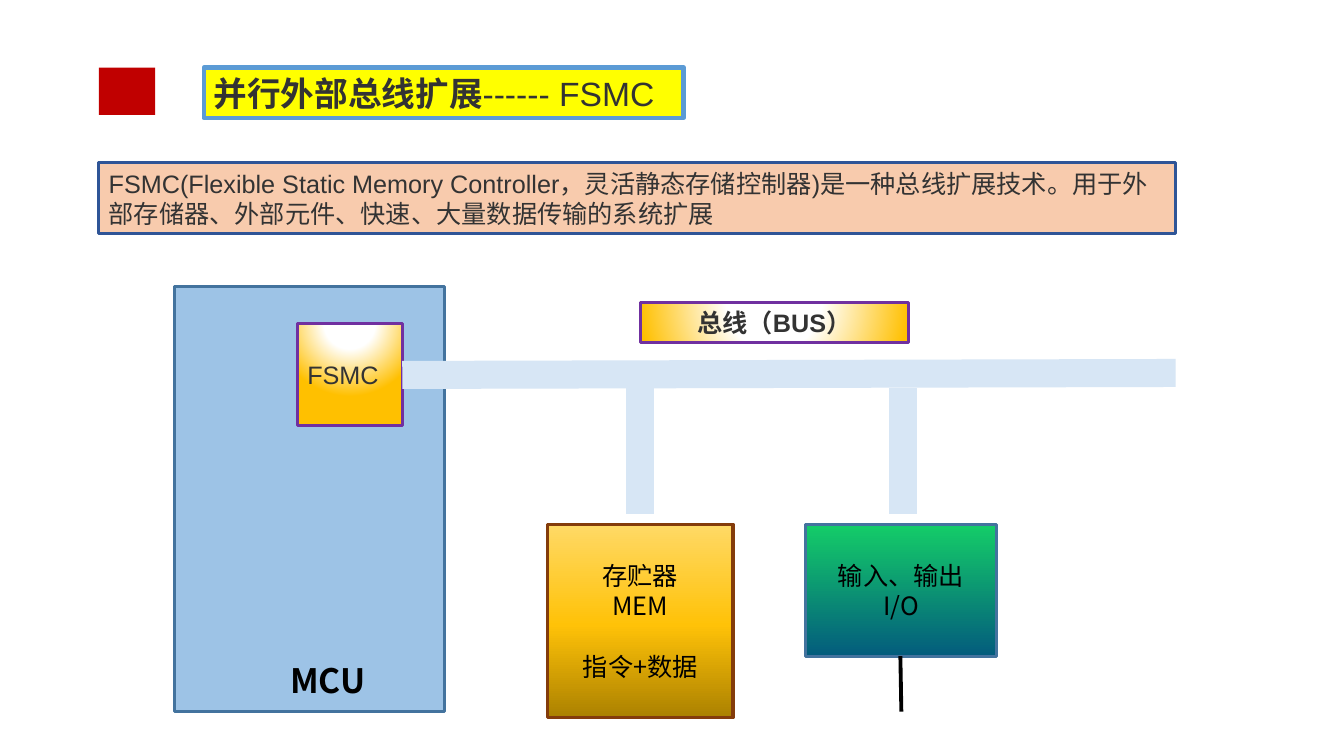
from dataclasses import dataclass

from lxml.etree import SubElement
from pptx import Presentation
from pptx.dml.color import RGBColor
from pptx.enum.shapes import MSO_CONNECTOR, MSO_SHAPE
from pptx.enum.text import MSO_ANCHOR, MSO_AUTO_SIZE, PP_ALIGN
from pptx.oxml import parse_xml
from pptx.oxml.ns import nsdecls, qn
from pptx.util import Inches, Pt

COLORS = {
    "ink": "333333", "black": "000000", "red": "C00000", "yellow": "FFFF00",
    "title line": "5B9BD5", "peach": "F8CBAD", "navy": "2F5597",
    "chip": "9DC3E6", "steel": "43739E", "purple": "7030A0",
    "brown": "843C0B", "bus": "D7E6F5",
}
SANS, CJK = "Arial", "Noto Sans CJK SC"


@dataclass
class Gradient:
    """Stops are (percent, hex); without an angle the gradient is circular."""
    stops: tuple[tuple[int, str], ...]
    angle: int | None = None


@dataclass
class Block:
    """A rectangle; each text line is one paragraph of (text, bold) runs."""
    box: tuple[float, float, float, float]
    fill: str | Gradient
    line: str | None = None
    width: float = 2.25
    lines: tuple = ()
    font: str = SANS
    color: str = "ink"
    centred: bool = False
    spacing: float | None = None
    gap_before_last: float = 0


@dataclass
class Link:
    start: tuple[float, float]
    end: tuple[float, float]
    color: str = "bus"
    width: float = 20


GLOW = Gradient(((0, "FFFFFF"), (35, "FFFFFF"), (100, "FFC000")))
GOLD = Gradient(((0, "AB8100"), (48, "FFC208"), (100, "FFD966")), 270)
GREEN = Gradient(((0, "14CD68"), (100, "035C7D")), 90)

TITLE = Block((2.02, 0.67, 4.76, 0.5), "yellow", "title line", 3,
              ((("并行外部总线扩展", True), ("------ FSMC", False)),))
BLOCKS = [
    Block((0.98, 0.67, 0.56, 0.47), "red"),
    Block((0.98, 1.61, 10.68, 0.71), "peach", "navy", 2,
          ((("FSMC(Flexible Static Memory Controller，灵活静态存储控制器)"
             "是一种总线扩展技术。用于外部存储器、外部元件、快速、"
             "大量数据传输的系统扩展", False),),)),
    Block((1.73, 2.84, 2.68, 4.22), "chip", "steel"),
    Block((2.95, 3.21, 1.04, 1.01), GLOW, "purple",
          lines=((("FSMC", False),),)),
    Block((5.43, 5.2, 1.84, 1.92), GOLD, "brown",
          lines=((("存贮器", False),), (("MEM", False),),
                 (("指令+数据", False),)),
          font=CJK, color="black", centred=True, spacing=21.6,
          gap_before_last=21.6),
    Block((7.99, 5.2, 1.89, 1.31), GREEN, "steel",
          lines=((("输入、输出", False),), (("I/O", False),)),
          font=CJK, color="black", centred=True, spacing=21.6),
    Block((6.35, 3, 2.66, 0.4), GLOW, "purple",
          lines=((("总线（BUS）", True),),), centred=True),
]
LINKS = [
    Link((3.99, 3.72), (11.66, 3.7)),
    *(Link((x, 3.85), (x, 5.1)) for x in (6.35, 8.96)),
    Link((8.93, 6.51), (8.94, 7.06), "black", 2.75),
]


def rgb(name: str) -> RGBColor:
    return RGBColor.from_string(COLORS[name])


def write_text(frame, lines, *, size=18, font=SANS, color="ink",
               centred=False, spacing=None, gap_before_last=0) -> None:
    frame.word_wrap = True
    frame.auto_size = MSO_AUTO_SIZE.NONE
    frame.vertical_anchor = MSO_ANCHOR.MIDDLE
    for index, runs in enumerate(lines):
        paragraph = frame.paragraphs[0] if index == 0 else frame.add_paragraph()
        paragraph.alignment = PP_ALIGN.CENTER if centred else PP_ALIGN.LEFT
        if spacing:
            paragraph.line_spacing = Pt(spacing)
        if gap_before_last and index == len(lines) - 1:
            paragraph.space_before = Pt(gap_before_last)
        for text, bold in runs:
            run = paragraph.add_run()
            run.text = text
            run.font.size = Pt(size)
            run.font.bold = bold
            run.font.color.rgb = rgb(color)
            run.font.name = font
            SubElement(run.font._element, qn("a:ea"), typeface=font)


def fill_gradient(shape, gradient: Gradient) -> None:
    stops = "".join(
        f'<a:gs pos="{percent * 1000}"><a:srgbClr val="{color}"/></a:gs>'
        for percent, color in gradient.stops)
    if gradient.angle is None:
        course = ('<a:path path="circle"><a:fillToRect l="50000" t="-80000" '
                  'r="50000" b="180000"/></a:path>')
    else:
        course = f'<a:lin ang="{gradient.angle * 60000}" scaled="0"/>'
    shape.fill.background()
    properties = shape._element.spPr
    properties.replace(properties.find(qn("a:noFill")), parse_xml(
        f'<a:gradFill {nsdecls("a")} rotWithShape="1">'
        f'<a:gsLst>{stops}</a:gsLst>{course}</a:gradFill>'))


def format_block(shape, block: Block, size: float = 18) -> None:
    if isinstance(block.fill, Gradient):
        fill_gradient(shape, block.fill)
    else:
        shape.fill.solid()
        shape.fill.fore_color.rgb = rgb(block.fill)
    if block.line:
        shape.line.color.rgb = rgb(block.line)
        shape.line.width = Pt(block.width)
    else:
        shape.line.fill.background()
    write_text(shape.text_frame, block.lines, size=size, font=block.font,
               color=block.color, centred=block.centred,
               spacing=block.spacing, gap_before_last=block.gap_before_last)


def add_block(slide, block: Block) -> None:
    shape = slide.shapes.add_shape(MSO_SHAPE.RECTANGLE, *map(Inches, block.box))
    shape.shadow.inherit = False
    format_block(shape, block)


def add_link(slide, link: Link) -> None:
    connector = slide.shapes.add_connector(
        MSO_CONNECTOR.STRAIGHT, *map(Inches, link.start + link.end))
    connector.line.color.rgb = rgb(link.color)
    connector.line.width = Pt(link.width)
    SubElement(connector._element.spPr, qn("a:effectLst"))


def main() -> None:
    deck = Presentation()
    deck.slide_width, deck.slide_height = Inches(13.33), Inches(7.5)
    slide = deck.slides.add_slide(deck.slide_layouts[5])

    title = slide.shapes.title
    title.left, title.top, title.width, title.height = map(Inches, TITLE.box)
    format_block(title, TITLE, size=24)

    for block in BLOCKS:
        add_block(slide, block)
    for link in LINKS:
        add_link(slide, link)

    chip_label = slide.shapes.add_textbox(*map(Inches, (2.73, 6.5, 1.04, 0.5)))
    write_text(chip_label.text_frame, ((("MCU", True),),), size=24, font=CJK,
               color="black", centred=True)
    deck.save("out.pptx")


if __name__ == "__main__":
    main()
